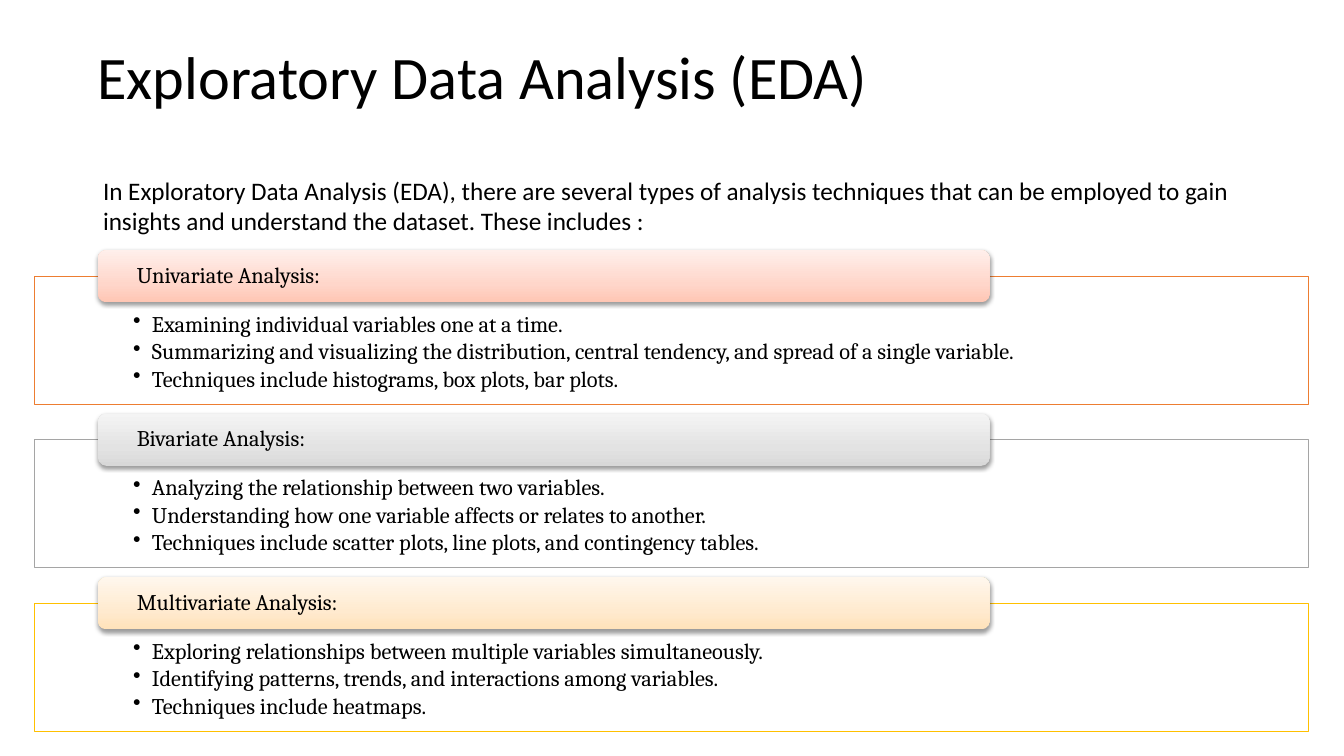
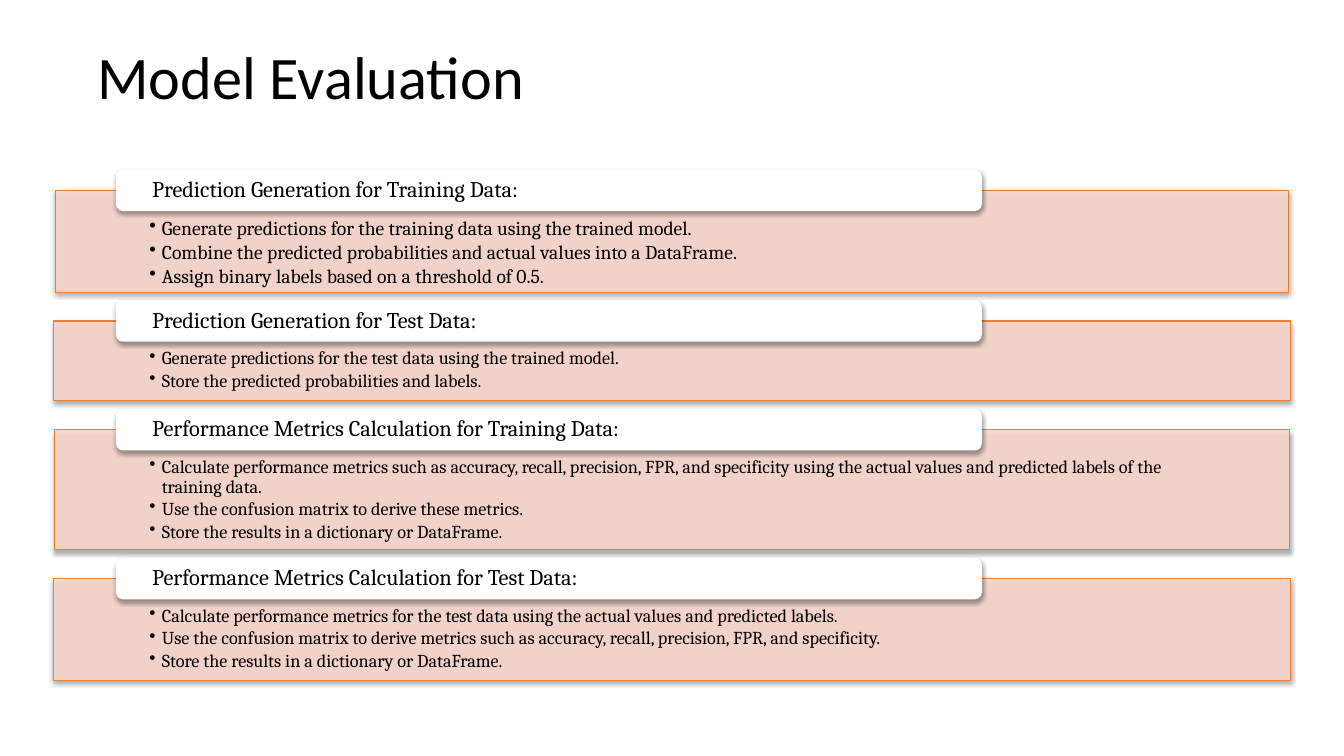
import dataclasses

import lxml.etree
import pptx
import pptx.dml.color
import pptx.enum.shapes
import pptx.enum.text
import pptx.oxml.ns
import pptx.util

Pt = pptx.util.Pt
qn = pptx.oxml.ns.qn
SHAPES = pptx.enum.shapes.MSO_SHAPE
ANCHOR = pptx.enum.text.MSO_ANCHOR


@dataclasses.dataclass(frozen=True)
class Theme:
    """Colours, fonts and type sizes shared by the slides."""
    ink: str = "000000"
    paper: str = "FFFFFF"
    orange: str = "ED7D31"
    grey: str = "A5A5A5"
    gold: str = "FFC000"
    blush: str = "F8D6CC"
    coral_tint: tuple = ("FFC6B4", "FFD6CA", "FFEFEB")
    grey_tint: tuple = ("D8D8D8", "E3E3E3", "F4F4F4")
    gold_tint: tuple = ("FFE2BA", "FFEACF", "FFF7ED")
    sans: str = "Calibri"
    serif: str = "Cambria"
    title_size: float = 43.1
    intro_size: float = 18
    heading_size: float = 16
    tight: float = 0.9
    frame_opacity: int = 90


THEME = Theme()


@dataclasses.dataclass(frozen=True)
class Section:
    """One heading with its points, and how it is coloured."""
    heading: str
    points: tuple
    outline: str = THEME.orange
    tab_tint: tuple = ()
    frame_height: float = 91.5
    point_size: float = 16
    trim: float = 0


@dataclasses.dataclass(frozen=True)
class StackStyle:
    """Measures of a stack of sections, relative to its box."""
    tab_offset: float
    tab_width: float
    tab_height: float
    heading_indent: float
    body_offset: float
    body_width: float
    body_inset: float
    hanging: float
    gap: float
    frame_fill: str
    frame_shadow: bool
    shadow_opacity: int
    shadow_distance: float


EDA_STYLE = StackStyle(45.5, 637, 37.4, 25.9, 62, 787, 8.6, 13.5, 6.6,
                       THEME.paper, False, 38, 1.6)
EVALUATION_STYLE = StackStyle(44.6, 618.5, 29.5, 24.5, 62, 760, 6.5, 8.9, 5.9,
                              THEME.blush, True, 35, 1.8)

EDA_SECTIONS = (
    Section("Univariate Analysis:", (
        "Examining individual variables one at a time.",
        "Summarizing and visualizing the distribution, central tendency, and spread of a single variable.",
        "Techniques include histograms, box plots, bar plots.",
    ), THEME.orange, THEME.coral_tint),
    Section("Bivariate Analysis:", (
        "Analyzing the relationship between two variables.",
        "Understanding how one variable affects or relates to another.",
        "Techniques include scatter plots, line plots, and contingency tables.",
    ), THEME.grey, THEME.grey_tint),
    Section("Multivariate Analysis:", (
        "Exploring relationships between multiple variables simultaneously.",
        "Identifying patterns, trends, and interactions among variables.",
        "Techniques include heatmaps.",
    ), THEME.gold, THEME.gold_tint),
)

EVALUATION_SECTIONS = (
    Section("Prediction Generation for Training Data:", (
        "Generate predictions for the training data using the trained model.",
        "Combine the predicted probabilities and actual values into a DataFrame.",
        "Assign binary labels based on a threshold of 0.5.",
    ), frame_height=72.7, point_size=14, trim=1.4),
    Section("Prediction Generation for Test Data:", (
        "Generate predictions for the test data using the trained model.",
        "Store the predicted probabilities and labels.",
    ), frame_height=57, point_size=13),
    Section("Performance Metrics Calculation for Training Data:", (
        "Calculate performance metrics such as accuracy, recall, precision, FPR, and specificity "
        "using the actual values and predicted labels of the training data.",
        "Use the confusion matrix to derive these metrics.",
        "Store the results in a dictionary or DataFrame.",
    ), frame_height=85.7, point_size=13, trim=0.7),
    Section("Performance Metrics Calculation for Test Data:", (
        "Calculate performance metrics for the test data using the actual values and predicted labels.",
        "Use the confusion matrix to derive metrics such as accuracy, recall, precision, FPR, and specificity.",
        "Store the results in a dictionary or DataFrame.",
    ), frame_height=72.7, point_size=13),
)


def rgb(code):
    """Turn a hex code into a colour."""
    return pptx.dml.color.RGBColor.from_string(code)


def points(*lengths):
    """Turn numbers into lengths in points."""
    return [Pt(length) for length in lengths]


def add_element(parent, tag, **attributes):
    """Append a DrawingML element to a parent."""
    element = lxml.etree.SubElement(parent, qn(tag))
    for name, value in attributes.items():
        element.set(name, str(value))
    return element


def add_colour(parent, code, opacity=100):
    """Append a colour, translucent if asked, to a parent element."""
    colour = add_element(parent, "a:srgbClr", val=code)
    if opacity < 100:
        add_element(colour, "a:alpha", val=opacity * 1000)


def set_frame(frame, insets, anchor=ANCHOR.TOP):
    """Set wrapping, insets and anchor of a text frame."""
    frame.word_wrap = True
    frame.vertical_anchor = anchor
    frame.margin_left, frame.margin_top, frame.margin_right, frame.margin_bottom = points(*insets)
    return frame


def write(paragraph, text, face, size, spacing=1.0):
    """Write one left-aligned run in a paragraph."""
    paragraph.alignment = pptx.enum.text.PP_ALIGN.LEFT
    paragraph.line_spacing = spacing
    run = paragraph.add_run()
    run.text = text
    run.font.name = face
    run.font.size = Pt(size)
    run.font.color.rgb = rgb(THEME.ink)


def add_text(slide, box, text, size, anchor=ANCHOR.TOP, spacing=1.0):
    """Place a sans-serif text in a box."""
    label = slide.shapes.add_textbox(*points(*box))
    frame = set_frame(label.text_frame, [3.6] * 4, anchor)
    write(frame.paragraphs[0], text, THEME.sans, size, spacing)


def add_shadow(shape, style):
    """Give a shape the soft downward shadow of its stack."""
    effects = shape._element.spPr.find(qn("a:effectLst"))
    shadow = add_element(effects, "a:outerShdw", blurRad=Pt(3.15), dist=Pt(style.shadow_distance),
                         dir=5400000, rotWithShape=0)
    add_colour(shadow, THEME.ink, style.shadow_opacity)


def add_frame(slide, box, section, style):
    """Draw the outlined frame of a section."""
    frame = slide.shapes.add_shape(SHAPES.RECTANGLE, *points(*box))
    frame.shadow.inherit = False
    frame.fill.solid()
    frame.fill.fore_color.rgb = rgb(style.frame_fill)
    fill_colour = frame._element.spPr.find(qn("a:solidFill"))[0]
    add_element(fill_colour, "a:alpha", val=THEME.frame_opacity * 1000)
    frame.line.color.rgb = rgb(section.outline)
    frame.line.width = Pt(0.75)
    if style.frame_shadow:
        add_shadow(frame, style)


def add_points(slide, box, section, style):
    """Write the bulleted points of a section."""
    body = slide.shapes.add_textbox(*points(*box))
    frame = set_frame(body.text_frame, [style.body_inset] * 4)
    for index, point in enumerate(section.points):
        paragraph = frame.add_paragraph() if index else frame.paragraphs[0]
        properties = paragraph._p.get_or_add_pPr()
        properties.set("marL", str(Pt(style.hanging)))
        properties.set("indent", str(-Pt(style.hanging)))
        add_colour(add_element(properties, "a:buClr"), THEME.ink)
        add_element(properties, "a:buChar", char="•")
        if index:
            paragraph.space_before = Pt(round(section.point_size * 0.15, 2))
        write(paragraph, point, THEME.serif, section.point_size, THEME.tight)


def add_tab(slide, box, section, style):
    """Draw the rounded tab that carries a section heading."""
    tab = slide.shapes.add_shape(SHAPES.ROUNDED_RECTANGLE, *points(*box))
    tab.shadow.inherit = False
    if section.tab_tint:
        tab.fill.gradient()
        tab.fill.gradient_angle = 90
        stops = tab._element.spPr.find(qn("a:gradFill")).find(qn("a:gsLst"))
        for stop in list(stops):
            stops.remove(stop)
        for position, tint in zip((0, 35, 100), section.tab_tint):
            add_colour(add_element(stops, "a:gs", pos=position * 1000), tint)
    else:
        tab.fill.solid()
        tab.fill.fore_color.rgb = rgb(THEME.paper)
    tab.line.fill.background()
    add_shadow(tab, style)
    frame = set_frame(tab.text_frame, (style.heading_indent, 0, style.heading_indent, 0), ANCHOR.MIDDLE)
    write(frame.paragraphs[0], section.heading, THEME.serif, THEME.heading_size, THEME.tight)


def add_stack(slide, box, sections, style):
    """Stack sections downward from the top of a box (left, top, width)."""
    left, top, width = box
    for section in sections:
        frame_top = top + style.tab_height / 2
        frame_bottom = frame_top + section.frame_height
        body_top = top + style.tab_height - 1.2
        add_frame(slide, (left + section.trim, frame_top, width - 2 * section.trim,
                          section.frame_height), section, style)
        add_points(slide, (left + style.body_offset, body_top, style.body_width,
                           frame_bottom - body_top), section, style)
        add_tab(slide, (left + style.tab_offset, top, style.tab_width, style.tab_height),
                section, style)
        top = frame_bottom + style.gap


def add_titled_slide(deck, title):
    """Add a blank slide with the shared title."""
    slide = deck.slides.add_slide(deck.slide_layouts[6])
    add_text(slide, (66, 28.8, 828, 57.2), title, THEME.title_size, ANCHOR.MIDDLE, THEME.tight)
    return slide


def build_eda(deck):
    """Build the slide on exploratory data analysis."""
    slide = add_titled_slide(deck, "Exploratory Data Analysis (EDA)")
    add_stack(slide, (24.5, 178.6, 910), EDA_SECTIONS, EDA_STYLE)
    add_text(slide, (70, 121.7, 821, 52),
             "In Exploratory Data Analysis (EDA), there are several types of analysis techniques that can be "
             "employed to gain insights and understand the dataset. These includes :", THEME.intro_size)


def build_evaluation(deck):
    """Build the slide on model evaluation."""
    slide = add_titled_slide(deck, "Model Evaluation")
    add_stack(slide, (38.2, 121.2, 883.4), EVALUATION_SECTIONS, EVALUATION_STYLE)


def main():
    """Build and save the presentation."""
    deck = pptx.Presentation()
    deck.slide_width, deck.slide_height = points(960, 540)
    build_eda(deck)
    build_evaluation(deck)
    deck.save("out.pptx")


if __name__ == "__main__":
    main()
